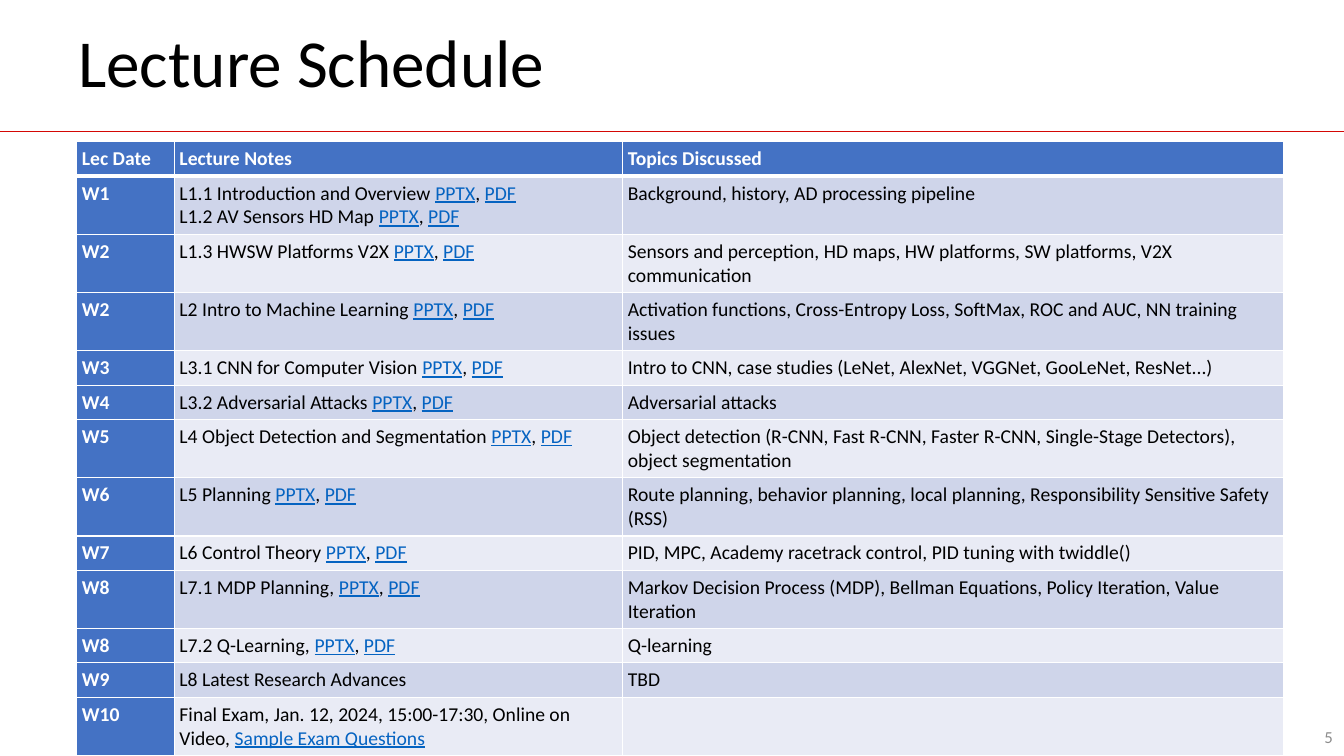
from dataclasses import dataclass

from lxml.etree import SubElement
from pptx import Presentation
from pptx.dml.color import RGBColor
from pptx.enum.shapes import MSO_CONNECTOR
from pptx.enum.text import MSO_ANCHOR, PP_ALIGN
from pptx.oxml.ns import qn
from pptx.util import Pt

EMU_PER_PX = 9525


@dataclass(frozen=True)
class Theme:
    font: str = "Calibri"
    text: str = "000000"
    light: str = "FFFFFF"
    accent: str = "4472C4"
    bands: tuple = ("CFD5EA", "E9EBF5")
    link: str = "0563C1"
    rule: str = "D40805"
    muted: str = "8C8C8C"
    title_size: int = 48
    table_size: int = 14
    number_size: int = 12


THEME = Theme()
SLIDE_SIZE = (1280, 720)
TITLE_BOX = (65, 7, 1149, 112)
RULE_BOX = (0, 125, 1280, 0)
TABLE_BOX = (73, 135, 1150, 578)
NUMBER_BOX = (991, 683, 288, 38)

COLUMN_WIDTHS = (93, 427, 630)
ONE_LINE, TWO_LINES = 28, 45
CELL_INSET = 5
THIN, THICK = 1, 3

HEADINGS = ("Lec Date", "Lecture Notes", "Topics Discussed")
FILES = ("PPTX", "PDF")
# Week, note lines as (text, links), topics, row height
LECTURES = [
    ("W1", [("L1.1 Introduction and Overview ", FILES), ("L1.2 AV Sensors HD Map ", FILES)],
     "Background, history, AD processing pipeline", TWO_LINES),
    ("W2", [("L1.3 HWSW Platforms V2X ", FILES)],
     "Sensors and perception, HD maps, HW platforms, SW platforms, V2X communication", TWO_LINES),
    ("W2", [("L2 Intro to Machine Learning ", FILES)],
     "Activation functions, Cross-Entropy Loss, SoftMax, ROC and AUC, NN training issues",
     TWO_LINES),
    ("W3", [("L3.1 CNN for Computer Vision ", FILES)],
     "Intro to CNN, case studies (LeNet, AlexNet, VGGNet, GooLeNet, ResNet...)", ONE_LINE),
    ("W4", [("L3.2 Adversarial Attacks ", FILES)], "Adversarial attacks", ONE_LINE),
    ("W5", [("L4 Object Detection and Segmentation ", FILES)],
     "Object detection (R-CNN, Fast R-CNN, Faster R-CNN, Single-Stage Detectors), "
     "object segmentation", TWO_LINES),
    ("W6", [("L5 Planning ", FILES)],
     "Route planning, behavior planning, local planning, Responsibility Sensitive Safety (RSS)",
     TWO_LINES),
    ("W7", [("L6 Control Theory ", FILES)],
     "PID, MPC, Academy racetrack control, PID tuning with twiddle()", ONE_LINE),
    ("W8", [("L7.1 MDP Planning, ", FILES)],
     "Markov Decision Process (MDP), Bellman Equations, Policy Iteration, Value Iteration",
     TWO_LINES),
    ("W8", [("L7.2 Q-Learning, ", FILES)], "Q-learning", ONE_LINE),
    ("W9", [("L8 Latest Research Advances", ())], "TBD", ONE_LINE),
    ("W10", [("Final Exam, Jan. 12, 2024, 15:00-17:30, Online on Video, ",
              ("Sample Exam Questions",))], "", ONE_LINE),
]


def px(length):
    return length * EMU_PER_PX


def apply(target, values):
    for name, value in values.items():
        setattr(target, name, value)


def place(shape, box):
    apply(shape, dict(zip(("left", "top", "width", "height"), map(px, box))))


def add_run(paragraph, text, size, color, **values):
    run = paragraph.add_run()
    run.text = text
    apply(run.font, {"name": THEME.font, "size": Pt(size), **values})
    run.font.color.rgb = RGBColor.from_string(color)


def add_title(slide, box, text):
    title = slide.shapes.title
    place(title, box)
    apply(title.text_frame, {"vertical_anchor": MSO_ANCHOR.MIDDLE, "word_wrap": True})
    paragraph = title.text_frame.paragraphs[0]
    apply(paragraph, {"alignment": PP_ALIGN.LEFT, "line_spacing": 0.9})
    add_run(paragraph, text, THEME.title_size, THEME.text)


def add_rule(slide, box):
    left, top, width, height = map(px, box)
    rule = slide.shapes.add_connector(
        MSO_CONNECTOR.STRAIGHT, left, top, left + width, top + height)
    rule.line.width = Pt(1)
    rule.line.color.rgb = RGBColor.from_string(THEME.rule)
    SubElement(rule._element.spPr, qn("a:effectLst"))


def format_cell(cell, fill, top=THIN, bottom=THIN):
    """Set insets, white borders of the given point widths, and fill."""
    sides = ("left", "right", "top", "bottom")
    apply(cell, {f"margin_{side}": px(CELL_INSET) for side in sides})
    properties = cell._tc.get_or_add_tcPr()
    for side, width in (("L", THIN), ("R", THIN), ("T", top), ("B", bottom)):
        border = SubElement(properties, qn(f"a:ln{side}"), w=str(Pt(width)))
        solid = SubElement(border, qn("a:solidFill"))
        SubElement(solid, qn("a:srgbClr"), val=THEME.light)
    cell.fill.solid()
    cell.fill.fore_color.rgb = RGBColor.from_string(fill)


def add_cell_text(cell, text, color=THEME.text, bold=False):
    if text:
        add_run(cell.text_frame.paragraphs[0], text, THEME.table_size, color, bold=bold)


def add_notes_lines(cell, lines):
    frame = cell.text_frame
    for index, (text, links) in enumerate(lines):
        paragraph = frame.add_paragraph() if index else frame.paragraphs[0]
        add_run(paragraph, text, THEME.table_size, THEME.text, bold=False)
        for position, link in enumerate(links):
            if position:
                add_run(paragraph, ", ", THEME.table_size, THEME.text, bold=False)
            add_run(paragraph, link, THEME.table_size, THEME.link, bold=False, underline=True)


def add_schedule(slide, box):
    frame = slide.shapes.add_table(len(LECTURES) + 1, len(HEADINGS), *map(px, box))
    table = frame.table
    apply(table, {"first_row": True, "first_col": True, "horz_banding": True})
    for column, width in zip(table.columns, COLUMN_WIDTHS):
        column.width = px(width)

    table.rows[0].height = px(ONE_LINE)
    for cell, heading in zip(table.rows[0].cells, HEADINGS):
        format_cell(cell, THEME.accent, bottom=THICK)
        add_cell_text(cell, heading, THEME.light, bold=True)
    table.cell(0, 2).vertical_anchor = MSO_ANCHOR.MIDDLE

    for index, (week, notes, topics, height) in enumerate(LECTURES):
        row = table.rows[index + 1]
        row.height = px(height)
        band = THEME.bands[index % 2]
        for cell, fill in zip(row.cells, (THEME.accent, band, band)):
            format_cell(cell, fill, top=THIN if index else THICK)
        week_cell, notes_cell, topics_cell = row.cells
        add_cell_text(week_cell, week, THEME.light, bold=True)
        add_notes_lines(notes_cell, notes)
        add_cell_text(topics_cell, topics)


def add_slide_number(slide, box, number):
    frame = slide.shapes.add_textbox(*map(px, box)).text_frame
    apply(frame, {"word_wrap": True, "vertical_anchor": MSO_ANCHOR.MIDDLE})
    paragraph = frame.paragraphs[0]
    paragraph.alignment = PP_ALIGN.RIGHT
    add_run(paragraph, number, THEME.number_size, THEME.muted)


def main():
    presentation = Presentation()
    width, height = map(px, SLIDE_SIZE)
    apply(presentation, {"slide_width": width, "slide_height": height})
    title_only = presentation.slide_layouts.get_by_name("Title Only")
    slide = presentation.slides.add_slide(title_only)
    add_rule(slide, RULE_BOX)
    add_title(slide, TITLE_BOX, "Lecture Schedule")
    add_schedule(slide, TABLE_BOX)
    add_slide_number(slide, NUMBER_BOX, "5")
    presentation.save("out.pptx")


if __name__ == "__main__":
    main()
